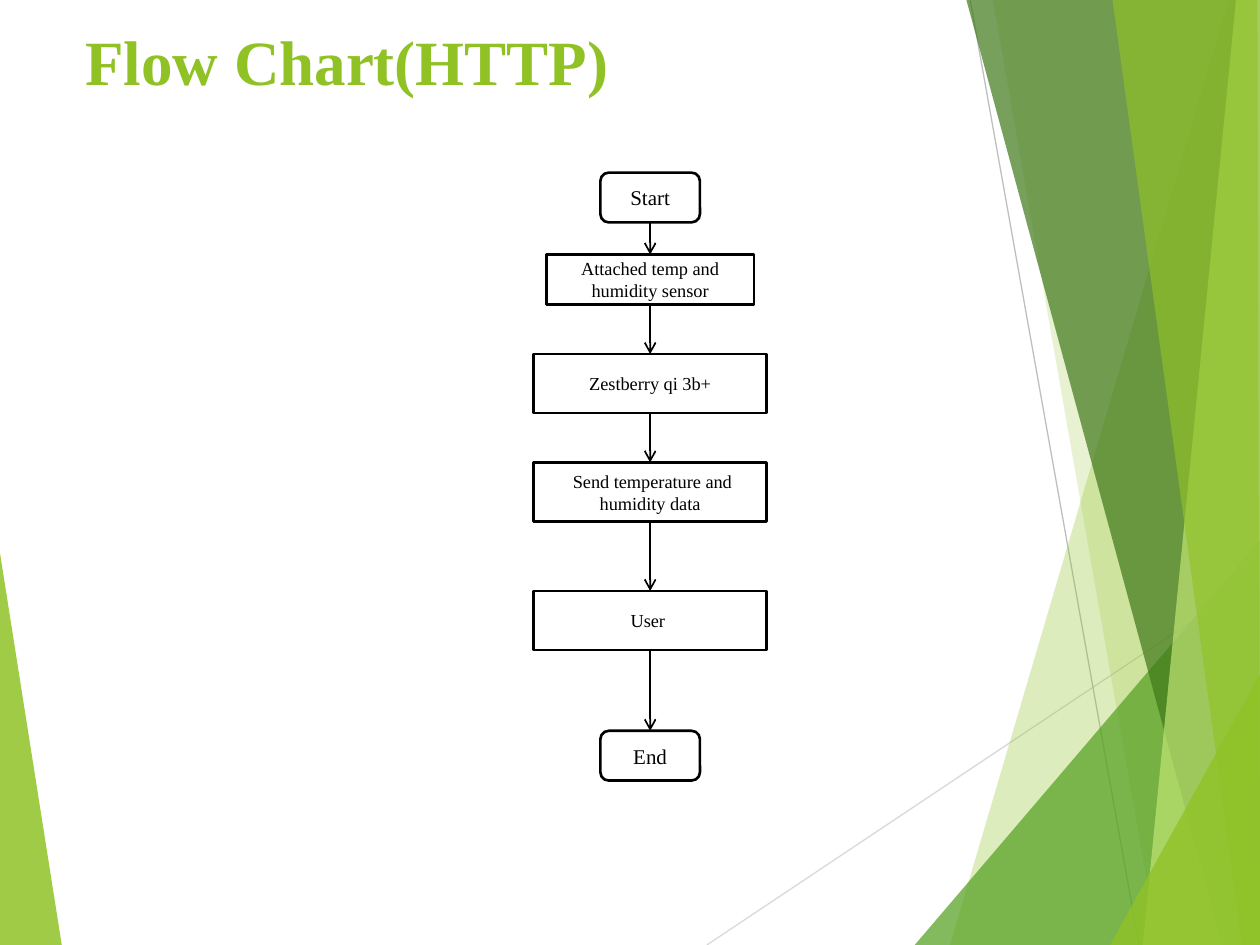
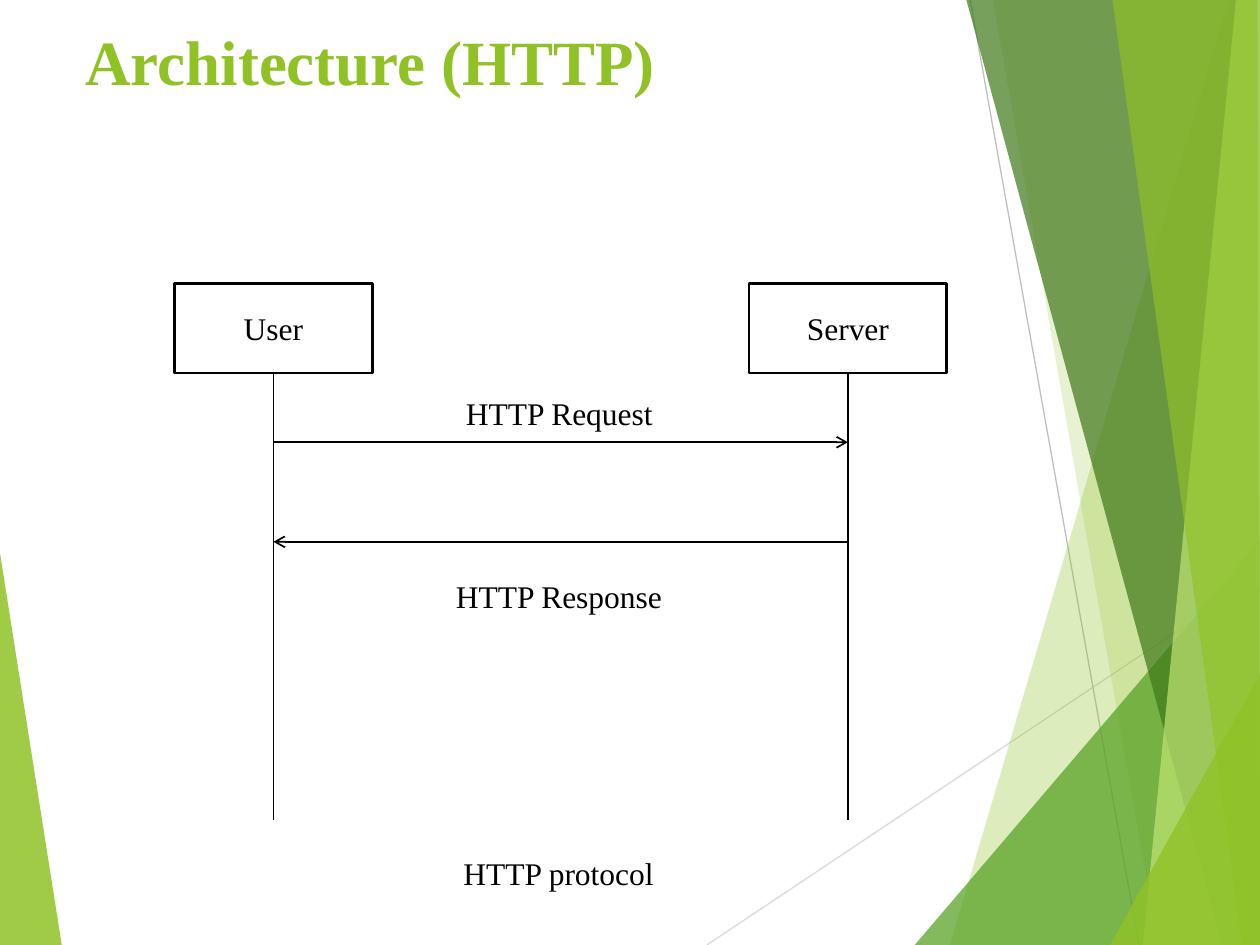
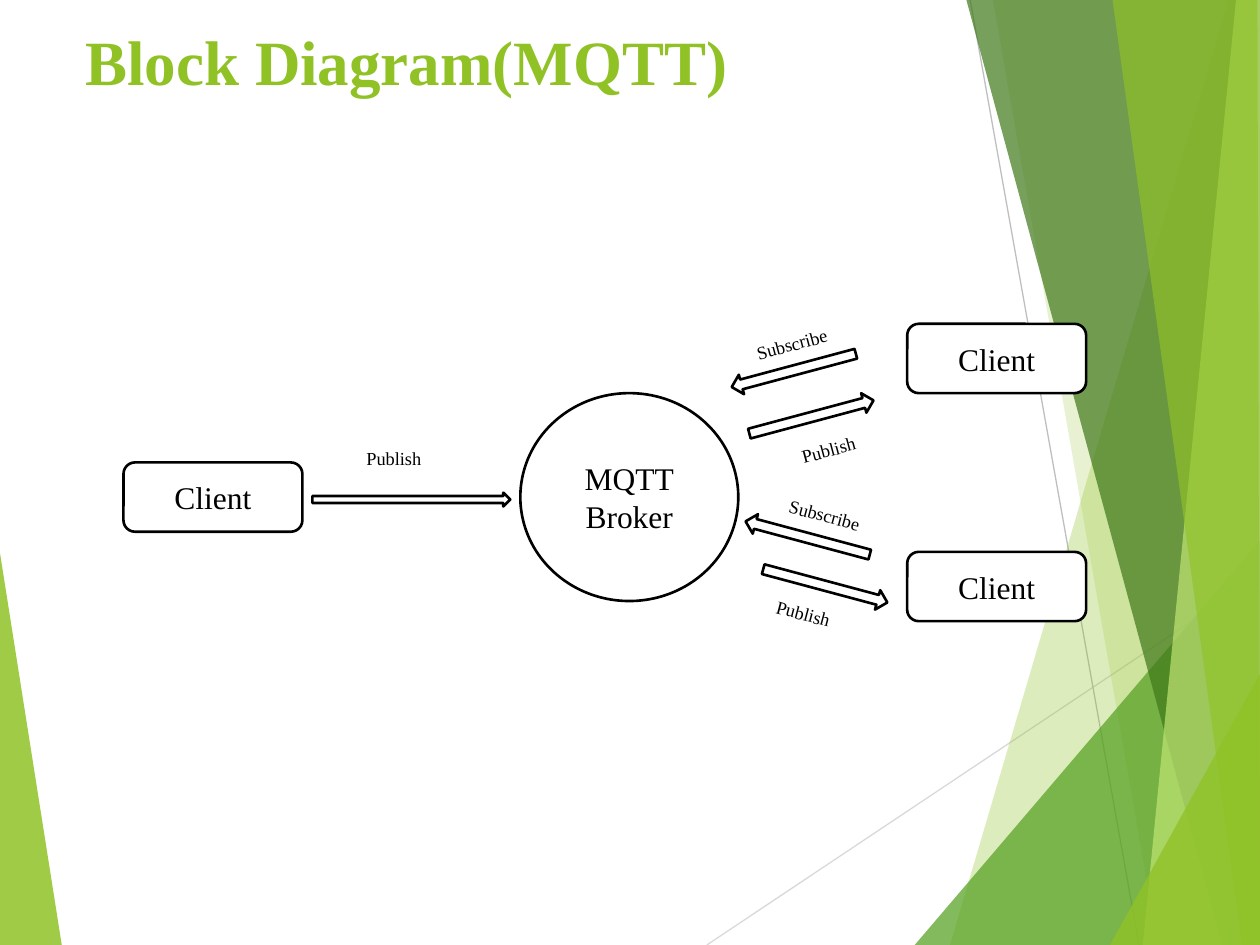
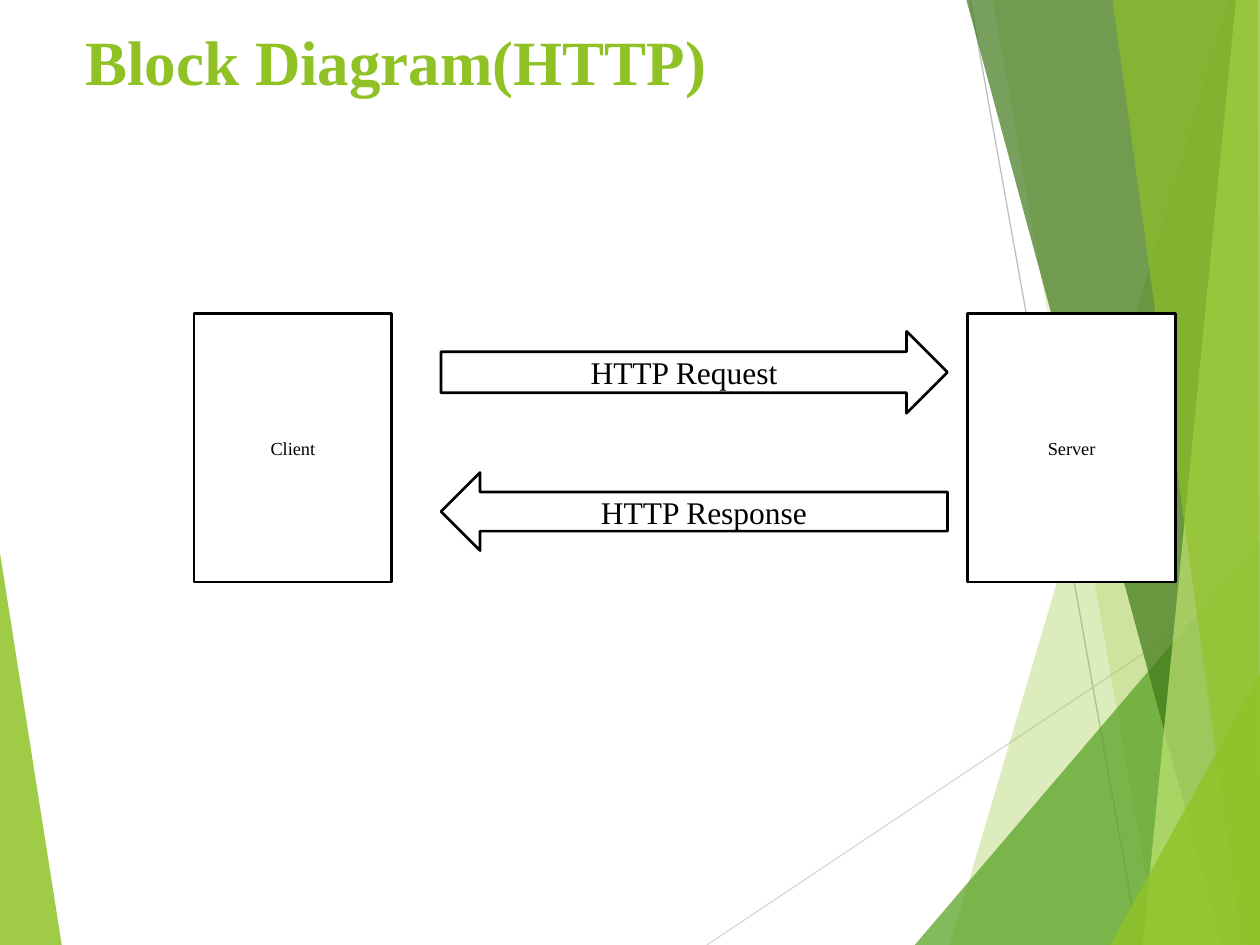
import pptx
import pptx.dml.color
import pptx.enum.shapes
import pptx.enum.text
import pptx.oxml.ns
import pptx.util
from lxml import etree

RGBColor = pptx.dml.color.RGBColor
Shape = pptx.enum.shapes.MSO_SHAPE
Align = pptx.enum.text.PP_ALIGN
Anchor = pptx.enum.text.MSO_ANCHOR

BLACK = RGBColor(0x00, 0x00, 0x00)
WHITE = RGBColor(0xFF, 0xFF, 0xFF)
LIME = RGBColor(0x90, 0xC2, 0x26)
PALE_LIME = RGBColor(0xC0, 0xE4, 0x74)
GREEN = RGBColor(0x54, 0xA0, 0x21)
DARK_GREEN = RGBColor(0x3F, 0x78, 0x19)
LIGHT_GRAY = RGBColor(0xD9, 0xD9, 0xD9)
GRAY = RGBColor(0xBF, 0xBF, 0xBF)

FONT = "Times New Roman"
SMALL, MEDIUM, LARGE = 10.5, 12, 18
WIDTH, HEIGHT = pptx.util.Inches(10), pptx.util.Inches(7.5)
COLUMNS, ROWS = 100, 75

LEFT_FACET = (LIME, 85, [(0, 43.9), (4.9, 75), (0, 75)])
FACET_LINES = [
    (LIGHT_GRAY, (56.1, 75), (100, 45.7)),
    (GRAY, (77, 0), (90.4, 75)),
]
RIGHT_FACETS = [
    (LIME, 30, [(97.5, 0), (75.4, 75), (100, 75), (100, 0)]),
    (LIME, 20, [(78.8, 0), (91.9, 75), (100, 75), (100, 0)]),
    (GREEN, 72, [(72.6, 75), (100, 42.9), (100, 75)]),
    (DARK_GREEN, 70, [(76.7, 0), (97, 75), (100, 75), (100, 0)]),
    (PALE_LIME, 70, [(98.1, 0), (90.7, 75), (100, 75), (100, 0)]),
    (LIME, 65, [(88.3, 0), (98.6, 75), (100, 75), (99.8, 0)]),
    (LIME, 80, [(88.1, 75), (100, 53.5), (100, 75)]),
]

FLOW_CENTER = 51.6
FLOW_STEPS = [
    ("Start", Shape.ROUNDED_RECTANGLE, 13.7, 7.9, 3.95, MEDIUM),
    ("Attached temp and humidity sensor", Shape.RECTANGLE, 20.2, 16.5, 3.95, SMALL),
    ("Zestberry qi 3b+", Shape.RECTANGLE, 28.1, 18.5, 4.7, SMALL),
    (" Send temperature and humidity data", Shape.RECTANGLE, 36.7, 18.5, 4.7, SMALL),
    ("User ", Shape.RECTANGLE, 46.9, 18.5, 4.7, SMALL),
    ("End", Shape.ROUNDED_RECTANGLE, 58, 7.9, 3.95, MEDIUM),
]

LIFELINES = [("User", 21.7), ("Server", 67.3)]
LIFELINE_BOX = (22.5, 15.7, 7.1)
LIFELINE_END = 65.1
MESSAGES = [(0, 1, 35.1), (1, 0, 43)]
MESSAGE_LABELS = [
    ("HTTP Request", 36, 30.8, 17),
    ("HTTP Response", 35.2, 45.3, 18.5),
    ("HTTP protocol", 35.8, 67.3, 17.3),
]

CLIENT_SIZE = (14.2, 5.5)
CLIENTS = [(9.8, 36.7), (72, 25.7), (72, 43.8)]
BROKER = ("MQTT\nBroker", (41.3, 31.2, 17.3, 16.5))
LINK_SIZE = (10.2, 1.6)
LINKS = [
    (Shape.LEFT_ARROW, 57.9, 28.6, -15),
    (Shape.RIGHT_ARROW, 59.3, 32.3, -15),
    (Shape.LEFT_ARROW, 59, 41.9, 15),
    (Shape.RIGHT_ARROW, 60.4, 45.7, 15),
]
PUBLISH_ARROW = (24.8, 39.1, 15.7, 1.1)
LABEL_WIDTHS = {"Publish": 6.4, "Subscribe": 7.8}
LINK_LABELS = [
    ("Publish", 28.1, 35, 0),
    ("Publish", 60.6, 47.3, 15),
    ("Subscribe", 61.6, 39.5, 15),
    ("Publish", 62.6, 34.3, -15),
    ("Subscribe", 59, 25.9, -15),
]

HTTP_BLOCKS = [
    ("Server", Shape.RECTANGLE, (76.8, 24.9, 16.5, 21.3), SMALL),
    ("Client", Shape.RECTANGLE, (15.4, 24.9, 15.7, 21.3), SMALL),
    ("HTTP Request", Shape.RIGHT_ARROW, (35, 26.3, 40.2, 6.5), LARGE),
    ("HTTP Response", Shape.LEFT_ARROW, (35, 37.5, 40.2, 6.2), LARGE),
]


def across(columns):
    return round(columns * WIDTH / COLUMNS)


def down(rows):
    return round(rows * HEIGHT / ROWS)


def place(area):
    left, top, width, height = area
    return across(left), down(top), across(width), down(height)


def write(shape, text, size, color=BLACK, bold=False, align=Align.LEFT):
    frame = shape.text_frame
    frame.text = text
    formats = {"name": FONT, "size": pptx.util.Pt(size), "bold": bold}
    for paragraph in frame.paragraphs:
        paragraph.alignment = align
        for run in paragraph.runs:
            run.font.color.rgb = color
            for name, value in formats.items():
                setattr(run.font, name, value)


def add_block(slide, kind, area, text="", size=LARGE, rotation=0):
    shape = slide.shapes.add_shape(kind, *place(area))
    shape.shadow.inherit = False
    shape.rotation = rotation
    shape.fill.solid()
    shape.fill.fore_color.rgb = WHITE
    shape.line.color.rgb = BLACK
    shape.line.width = pptx.util.Pt(1.5)
    shape.text_frame.vertical_anchor = Anchor.MIDDLE
    if text:
        write(shape, text, size, align=Align.CENTER)
    return shape


def add_label(slide, text, area, size, rotation=0, wrap=False, **style):
    label = slide.shapes.add_textbox(*place(area))
    label.rotation = rotation
    label.text_frame.word_wrap = wrap
    write(label, text, size, **style)


def add_line(slide, start=(0, 0), end=(0, 0), color=BLACK, width=1, arrow=False):
    line = slide.shapes.add_connector(
        pptx.enum.shapes.MSO_CONNECTOR.STRAIGHT,
        across(start[0]), down(start[1]), across(end[0]), down(end[1]))
    line.line.color.rgb = color
    line.line.width = pptx.util.Pt(width)
    properties = line._element.spPr
    if arrow:
        outline = properties.find(pptx.oxml.ns.qn("a:ln"))
        etree.SubElement(outline, pptx.oxml.ns.qn("a:tailEnd"), type="arrow")
    etree.SubElement(properties, pptx.oxml.ns.qn("a:effectLst"))
    return line


def add_facet(slide, color, opacity, points):
    corners = [(across(x), down(y)) for x, y in points]
    builder = slide.shapes.build_freeform(*corners[0])
    builder.add_line_segments(corners[1:], close=True)
    facet = builder.convert_to_shape()
    facet.shadow.inherit = False
    facet.fill.solid()
    facet.fill.fore_color.rgb = color
    facet.line.fill.background()
    for tone in facet._element.spPr.iter(pptx.oxml.ns.qn("a:srgbClr")):
        etree.SubElement(tone, pptx.oxml.ns.qn("a:alpha"), val=str(opacity * 1000))


def add_titled_slide(presentation, title):
    slide = presentation.slides.add_slide(presentation.slide_layouts[6])
    add_facet(slide, *LEFT_FACET)
    for color, start, end in FACET_LINES:
        add_line(slide, start, end, color, 0.75)
    for facet in RIGHT_FACETS:
        add_facet(slide, *facet)
    add_label(slide, title, (5.8, 1.3, 90, 13.7), 36, wrap=True, color=LIME, bold=True)
    return slide


def draw_flow_chart(slide):
    previous = None
    for text, kind, top, width, height, size in FLOW_STEPS:
        area = (FLOW_CENTER - width / 2, top, width, height)
        step = add_block(slide, kind, area, text, size)
        if previous is not None:
            arrow = add_line(slide, arrow=True)
            arrow.begin_connect(previous, 2)
            arrow.end_connect(step, 0)
        previous = step


def draw_architecture(slide):
    top, width, height = LIFELINE_BOX
    for text, center in LIFELINES:
        add_block(slide, Shape.RECTANGLE, (center - width / 2, top, width, height), text)
        add_line(slide, (center, top + height), (center, LIFELINE_END))
    for sender, receiver, y in MESSAGES:
        add_line(slide, (LIFELINES[sender][1], y), (LIFELINES[receiver][1], y), arrow=True)
    for text, left, label_top, label_width in MESSAGE_LABELS:
        add_label(slide, text, (left, label_top, label_width, 4), LARGE)


def draw_mqtt_blocks(slide):
    for corner in CLIENTS:
        add_block(slide, Shape.ROUNDED_RECTANGLE, corner + CLIENT_SIZE, "Client")
    text, area = BROKER
    add_block(slide, Shape.OVAL, area, text)
    for kind, left, top, rotation in LINKS:
        add_block(slide, kind, (left, top) + LINK_SIZE, rotation=rotation)
    add_block(slide, Shape.RIGHT_ARROW, PUBLISH_ARROW)
    for text, left, top, rotation in LINK_LABELS:
        add_label(slide, text, (left, top, LABEL_WIDTHS[text], 2.8), SMALL, rotation)


def draw_http_blocks(slide):
    for text, kind, area, size in HTTP_BLOCKS:
        add_block(slide, kind, area, text, size)


SLIDES = [
    ("Flow Chart(HTTP)", draw_flow_chart),
    ("Architecture (HTTP)", draw_architecture),
    ("Block Diagram(MQTT)", draw_mqtt_blocks),
    ("Block Diagram(HTTP)", draw_http_blocks),
]


def main():
    presentation = pptx.Presentation()
    presentation.slide_width, presentation.slide_height = WIDTH, HEIGHT
    for title, draw in SLIDES:
        draw(add_titled_slide(presentation, title))
    presentation.save("out.pptx")


if __name__ == "__main__":
    main()
